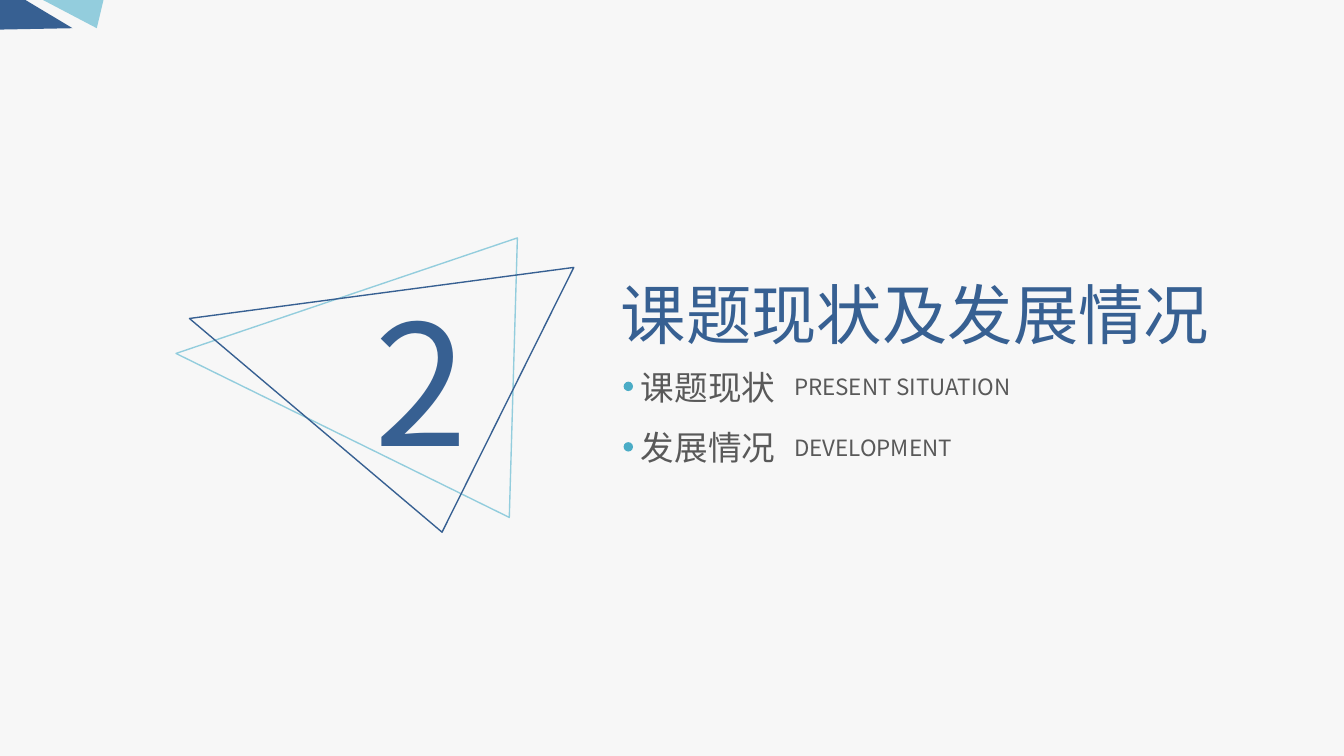
from lxml import etree
from pptx import Presentation
from pptx.dml.color import RGBColor
from pptx.enum.shapes import MSO_SHAPE
from pptx.enum.text import MSO_ANCHOR, MSO_AUTO_SIZE, PP_ALIGN
from pptx.oxml.ns import qn
from pptx.util import Inches, Pt

COLORS = {
    "background": "F7F7F7",
    "navy": "376092",
    "sky": "93CDDD",
    "dot": "4BACC6",
    "gray": "595959",
}
FONT = "Noto Sans CJK SC"


def color(name):
    return RGBColor.from_string(COLORS[name])


def write_text(box, bounds, text, size, tint, align=PP_ALIGN.LEFT):
    box.left, box.top, box.width, box.height = map(Inches, bounds)
    frame = box.text_frame
    frame.text = text
    frame.word_wrap = False
    frame.auto_size = MSO_AUTO_SIZE.SHAPE_TO_FIT_TEXT
    frame.vertical_anchor = MSO_ANCHOR.TOP
    para = frame.paragraphs[0]
    para.alignment = align
    para.font.size = Pt(size)
    para.font.name = FONT
    para.font.color.rgb = color(tint)
    span_properties = para.runs[0]._r.get_or_add_rPr()
    etree.SubElement(span_properties, qn("a:ea"), typeface=FONT)


deck = Presentation()
deck.slide_width = Inches(10)
deck.slide_height = Inches(10 * 9 / 16)
page = deck.slides.add_slide(deck.slide_layouts[5])
page.background.fill.solid()
page.background.fill.fore_color.rgb = color("background")

write_text(page.shapes.title, (4.5, 1.99, 4.62, 0.69),
           "课题现状及发展情况", 35, "navy", PP_ALIGN.CENTER)

topics = [("课题现状", "PRESENT SITUATION", 1.87), ("发展情况", "DEVELOPMENT", 1.44)]
for index, (topic, english, english_width) in enumerate(topics):
    top = 2.68 + 0.45 * index
    write_text(page.shapes.add_textbox(0, 0, 0, 0),
               (4.67, top, 1.21, 0.4), topic, 18, "gray")
    write_text(page.shapes.add_textbox(0, 0, 0, 0),
               (5.81, top + 0.05, english_width, 0.3), english, 12, "gray")
    dot = page.shapes.add_shape(MSO_SHAPE.OVAL, Inches(4.64), Inches(top + 0.16),
                                Inches(0.07), Inches(0.07))
    dot.shadow.inherit = False
    dot.fill.solid()
    dot.fill.fore_color.rgb = color("dot")
    dot.line.fill.background()

polygons = [
    ("sky", False, [(3.85, 1.77), (1.31, 2.63), (3.79, 3.85)]),
    ("navy", False, [(1.41, 2.37), (4.27, 1.99), (3.29, 3.96)]),
    ("sky", True, [(0.32, 0), (0.72, 0.21), (0.77, 0)]),
    ("navy", True, [(0.54, 0.21), (0.19, 0), (0, 0), (0, 0.22)]),
]
for tint, filled, points in polygons:
    corners = [(Inches(x), Inches(y)) for x, y in points]
    builder = page.shapes.build_freeform(*corners[0])
    builder.add_line_segments(corners[1:], close=True)
    polygon = builder.convert_to_shape()
    polygon.shadow.inherit = False
    if filled:
        polygon.fill.solid()
        polygon.fill.fore_color.rgb = color(tint)
        polygon.line.fill.background()
    else:
        polygon.fill.background()
        polygon.line.color.rgb = color(tint)
        polygon.line.width = Pt(0.75)

write_text(page.shapes.add_textbox(0, 0, 0, 0),
           (2.69, 2.02, 0.94, 1.62), "2", 90, "navy")

deck.save("out.pptx")
